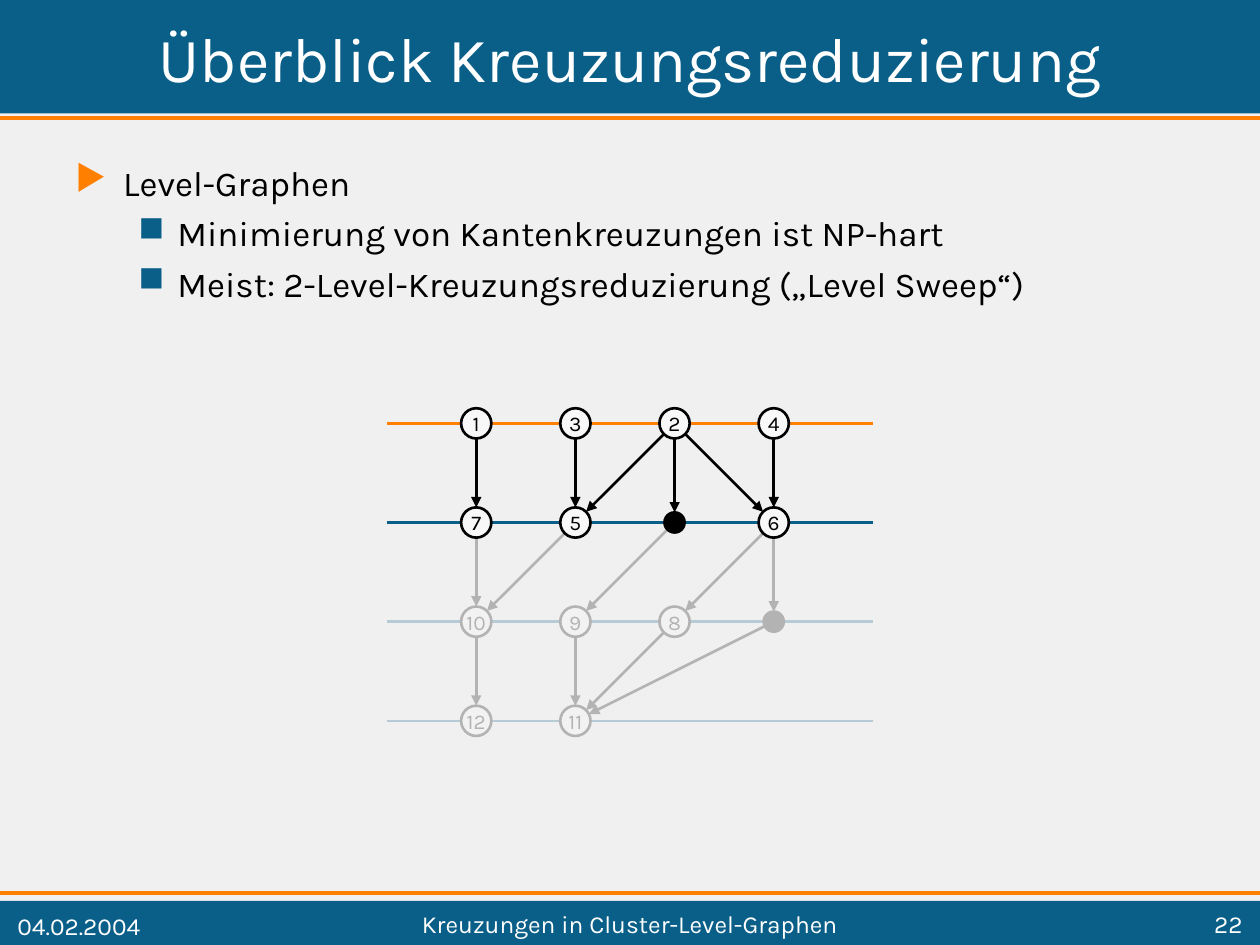
import math
from lxml import etree
from pptx import Presentation
from pptx.dml.color import RGBColor
from pptx.enum import shapes, text
from pptx.oxml.ns import qn
from pptx.util import Inches, Pt

BLUE, ORANGE, PAPER = "0A5F89", "FF7F00", "F0F0F0"
BLACK, WHITE = "000000", "FFFFFF"
LEFT, CENTER, RIGHT = text.PP_ALIGN.LEFT, text.PP_ALIGN.CENTER, text.PP_ALIGN.RIGHT


def rgb(color):
    return RGBColor.from_string(color)


def write(tf, content, size=14, color=WHITE, align=LEFT, wrap=True,
          anchor=text.MSO_ANCHOR.MIDDLE, bullet=None):
    """Fill the frame with text; bullet lists (character, colour, level, margin, indent) per line."""
    tf.word_wrap = wrap
    tf.vertical_anchor = anchor
    for i, line in enumerate(content.split("\n")):
        p = tf.paragraphs[0] if i == 0 else tf.add_paragraph()
        if bullet:
            char, bullet_color, level, margin, indent = bullet[i]
            p.level = level
            pPr = p._p.get_or_add_pPr()
            pPr.set("marL", str(Inches(margin)))
            pPr.set("indent", str(Inches(indent)))
            buClr = etree.SubElement(pPr, qn("a:buClr"))
            etree.SubElement(buClr, qn("a:srgbClr"), val=bullet_color)
            etree.SubElement(pPr, qn("a:buChar"), char=char)
            p.space_before = Pt(5 if i else 0)
        p.alignment = align
        r = p.add_run()
        r.text = line
        r.font.name, r.font.size = "Karla", Pt(size)
        r.font.color.rgb = rgb(color)


prs = Presentation()
prs.slide_width, prs.slide_height = Inches(10), Inches(7.5)
s = prs.slides.add_slide(prs.slide_layouts[5])
s.background.fill.solid()
s.background.fill.fore_color.rgb = rgb(PAPER)

# Grid of the level graph: (level, column) -> label, "" for a dummy node
X0, Y0, STEP = 3.78, 3.36, 0.787
NODES = {
    (0, 0): "1", (0, 1): "3", (0, 2): "2", (0, 3): "4",
    (1, 0): "7", (1, 1): "5", (1, 2): "", (1, 3): "6",
    (2, 0): "10", (2, 1): "9", (2, 2): "8", (2, 3): "",
    (3, 0): "12", (3, 1): "11",
}
# Per upper level: (column above, column below)
EDGES = [
    [(0, 0), (1, 1), (2, 1), (2, 2), (2, 3), (3, 3)],
    [(0, 0), (1, 0), (2, 1), (3, 2), (3, 3)],
    [(0, 0), (1, 1), (2, 1), (3, 1)],
]

# Drawing order: bars, rules, faded levels, veil, level 1 on top of the veil
parts = [
    ("box", 0, 0, 10, 0.9, BLUE),
    ("box", 0, 7.15, 10, 0.35, BLUE),
    ("line", 0, 0.94, 10, 0.94, ORANGE, 2.25),
    ("line", 0, 7.09, 10, 7.09, ORANGE, 2.25),
]
level_lines = [("line", 3.07, Y0 + STEP * row, 6.93, Y0 + STEP * row,
                BLUE if row else ORANGE, 1.5) for row in range(4)]

arrows = []
for row, pairs in enumerate(EDGES):
    for above, below in pairs:
        x1, y1 = X0 + STEP * above, Y0 + STEP * row
        dx, dy = STEP * (below - above), STEP
        radius = 0.12 if NODES[row + 1, below] else 0.08
        part = 1 - radius / math.hypot(dx, dy)
        arrows.append(("arrow", x1, y1, x1 + dx * part, y1 + dy * part, BLACK, 1.5))

circles = {row: [] for row in range(4)}
for (row, column), label in NODES.items():
    d = 0.24 if label else 0.16
    circles[row].append(("node", X0 + STEP * column - d / 2, Y0 + STEP * row - d / 2,
                         d, d, "F8F8F8" if label else BLACK, label))

parts += [level_lines[0], level_lines[2], level_lines[3], *arrows]
parts += circles[0] + circles[2] + circles[3]
parts += [("veil", 3.03, 4.15, 3.94, 1.73, PAPER), level_lines[1], *circles[1]]

for kind, a, b, c, d, color, *extra in parts:
    box = [Inches(v) for v in (a, b, c, d)]
    if kind in ("line", "arrow"):
        sp = s.shapes.add_connector(shapes.MSO_CONNECTOR.STRAIGHT, *box)
        sp.line.color.rgb, sp.line.width = rgb(color), Pt(extra[0])
        if kind == "arrow":
            etree.SubElement(sp.line._get_or_add_ln(), qn("a:tailEnd"), type="triangle")
        etree.SubElement(sp._element.spPr, qn("a:effectLst"))
        continue
    preset = shapes.MSO_SHAPE.OVAL if kind == "node" else shapes.MSO_SHAPE.RECTANGLE
    sp = s.shapes.add_shape(preset, *box)
    sp.shadow.inherit = False
    sp.fill.solid()
    sp.fill.fore_color.rgb = rgb(color)
    if kind == "node":
        sp.line.color.rgb, sp.line.width = rgb(BLACK), Pt(1.5)
        if extra[0]:
            write(sp.text_frame, extra[0], size=12, color=BLACK, align=CENTER, wrap=False)
    else:
        sp.line.fill.background()
    if kind == "veil":
        clr = sp._element.spPr.find(qn("a:solidFill"))[0]
        etree.SubElement(clr, qn("a:alpha"), val="75000")

# Title, in front of the header bar
title = s.shapes.title
title.left, title.top, title.width, title.height = [Inches(v) for v in (0.04, 0.04, 9.92, 0.83)]
write(title.text_frame, "Überblick Kreuzungsreduzierung", size=36, align=CENTER)
s.shapes._spTree.append(title._element)

# Bullet list
square = ("■", BLUE, 1, 0.81, -0.31)
sp = s.shapes.add_textbox(Inches(0.5), Inches(1.23), Inches(9), Inches(2.76))
write(sp.text_frame,
      "Level-Graphen\n"
      "Minimierung von Kantenkreuzungen ist NP-hart\n"
      "Meist: 2-Level-Kreuzungsreduzierung („Level Sweep“)",
      size=20, color=BLACK, anchor=text.MSO_ANCHOR.TOP,
      bullet=[("▶", ORANGE, 0, 0.38, -0.38), square, square])

# Footer
for left, width, height, content, align in [
    (1.3, 7.4, 0.28, "Kreuzungen in Cluster-Level-Graphen", CENTER),
    (8.78, 1.18, 0.28, "22", RIGHT),
    (0.04, 1.58, 0.31, "04.02.2004", LEFT),
]:
    sp = s.shapes.add_textbox(Inches(left), Inches(7.19), Inches(width), Inches(height))
    write(sp.text_frame, content, align=align)

prs.save("out.pptx")
